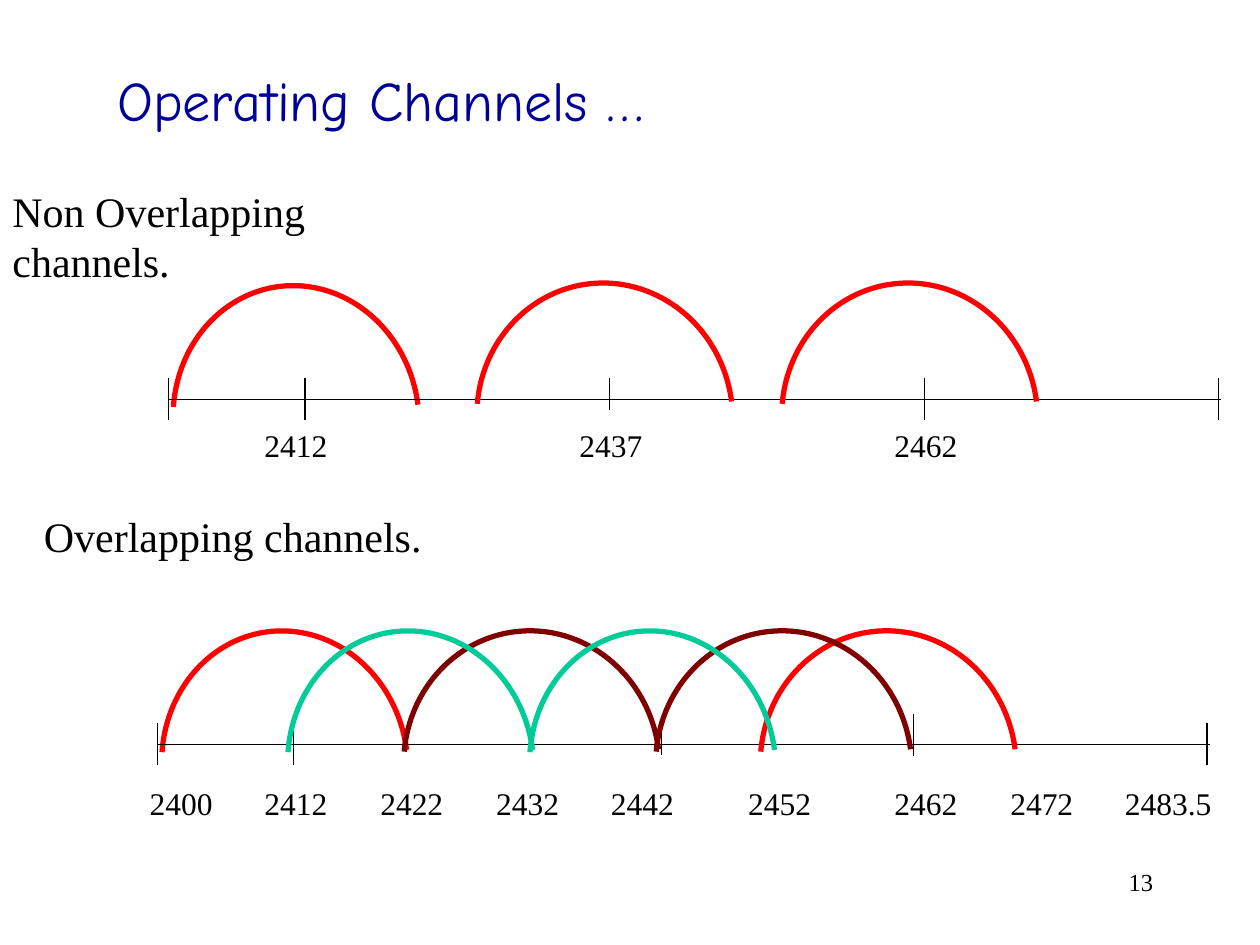
import pptx
import pptx.dml.color
import pptx.enum.shapes
import pptx.enum.text
import pptx.util
from lxml import etree
from pptx.oxml.ns import qn

Inches = pptx.util.Inches
Pt = pptx.util.Pt
RGBColor = pptx.dml.color.RGBColor
PP_ALIGN = pptx.enum.text.PP_ALIGN
ANCHOR = pptx.enum.text.MSO_ANCHOR
AUTO_SIZE = pptx.enum.text.MSO_AUTO_SIZE

BLACK = RGBColor(0x00, 0x00, 0x00)
NAVY = RGBColor(0x00, 0x00, 0x99)
RED = RGBColor(0xFF, 0x00, 0x00)
MAROON = RGBColor(0x80, 0x00, 0x00)
GREEN = RGBColor(0x00, 0xCC, 0x99)

ARC_TILT = 262.7
ARC_START, ARC_END = 283.5, 90
ADJUSTMENT_PER_DEGREE = 0.6  # 60000 units a degree, scaled by 100000
ARC_LENGTH = 2.14
NARROW, WIDE = 1.95, 2.03


class ChannelSlide:
    """Holds the style, the current page and the shapes being drawn on."""

    title_font = "Comic Neue"
    body_font = "Times New Roman"

    def __init__(self, deck):
        self.page = deck.slides.add_slide(deck.slide_layouts[5])
        self.shapes = self.page.shapes

    def start_group(self):
        self.shapes = self.page.shapes.add_group_shape().shapes

    def end_group(self):
        self.shapes = self.page.shapes

    def format_text(self, box, text, size, font, color, align):
        frame = box.text_frame
        frame.text = text
        paragraph = frame.paragraphs[0]
        paragraph.alignment = align
        for span in paragraph.runs:
            span.font.name = font
            span.font.size = Pt(size)
            span.font.color.rgb = color

    def title(self, text, left, top, width, height):
        box = self.page.shapes.title
        box.left, box.top = Inches(left), Inches(top)
        box.width, box.height = Inches(width), Inches(height)
        self.format_text(box, text, 32, self.title_font, NAVY, PP_ALIGN.LEFT)
        box.text_frame.vertical_anchor = ANCHOR.MIDDLE
        box.text_frame.auto_size = AUTO_SIZE.NONE

    def text(self, text, left, top, width, height, size=18, align=PP_ALIGN.LEFT):
        box = self.shapes.add_textbox(
            Inches(left), Inches(top), Inches(width), Inches(height))
        self.format_text(box, text, size, self.body_font, BLACK, align)
        if align == PP_ALIGN.LEFT:
            box.text_frame.word_wrap = False
            box.text_frame.auto_size = AUTO_SIZE.SHAPE_TO_FIT_TEXT
        else:
            box.text_frame.word_wrap = True

    def line(self, x1, y1, x2, y2):
        line = self.shapes.add_connector(
            pptx.enum.shapes.MSO_CONNECTOR.STRAIGHT,
            Inches(x1), Inches(y1), Inches(x2), Inches(y2))
        line.line.color.rgb = BLACK
        line.line.width = Pt(0.75)
        etree.SubElement(line._element.spPr, qn("a:effectLst"))

    def axis(self, left, y, ticks):
        self.line(left, y, left + 8.35, y)
        for x, top, bottom in ticks:
            self.line(x, top, x, bottom)

    def channel(self, left, top, height, color):
        arc = self.shapes.add_shape(
            pptx.enum.shapes.MSO_SHAPE.ARC,
            Inches(left), Inches(top), Inches(ARC_LENGTH), Inches(height))
        arc.adjustments[0] = ARC_START * ADJUSTMENT_PER_DEGREE
        arc.adjustments[1] = ARC_END * ADJUSTMENT_PER_DEGREE
        arc.rotation = ARC_TILT
        arc.shadow.inherit = False
        arc.fill.background()
        arc.line.color.rgb = color
        arc.line.width = Pt(3)


def main():
    deck = pptx.Presentation()
    deck.slide_width, deck.slide_height = Inches(10), Inches(7.5)
    slide = ChannelSlide(deck)
    slide.title("Operating Channels …", 0.83, 0.33, 8.5, 0.92)

    # Non-overlapping channels
    for index, frequency in enumerate(("2412", "2437", "2462")):
        slide.text(frequency, 2 + 2.5 * index, 3.33, 0.7, 0.4)
    slide.text("Non Overlapping channels.", 0, 1.42, 3.85, 0.9, size=24)
    slide.channel(1.28, 2.36, NARROW, RED)
    slide.axis(1.34, 3.17, [
        (1.34, 3, 3.33), (2.42, 3, 3.33), (4.84, 3, 3.25),
        (7.34, 3, 3.33), (9.67, 3, 3.33)])
    for left in (3.73, 6.15):
        slide.channel(left, 2.3, WIDE, RED)

    # Overlapping channels
    slide.start_group()
    for frequency, left in (
            ("2400", 1.09), ("2412", 2), ("2422", 2.92), ("2432", 3.84),
            ("2442", 4.75), ("2452", 5.84), ("2462", 7), ("2472", 7.92)):
        slide.text(frequency, left, 6.17, 0.7, 0.4)
    slide.text("2483.5", 8.83, 6.17, 1, 0.4)
    slide.channel(1.19, 5.1, NARROW, RED)
    slide.axis(1.25, 5.91, [
        (1.25, 5.74, 6.07), (2.33, 5.74, 6.07), (5.25, 5.74, 5.99),
        (7.25, 5.67, 6), (9.58, 5.74, 6.07)])
    for left, color in ((5.98, RED), (3.15, MAROON), (5.15, MAROON)):
        slide.channel(left, 5.06, WIDE, color)
    for left in (2.19, 4.11):
        slide.channel(left, 5.1, NARROW, GREEN)
    slide.end_group()
    slide.text("Overlapping channels.", 0.25, 4, 3.2, 0.5, size=24)

    # Page number
    slide.text("13", 7.17, 6.83, 2.08, 0.5, size=14, align=PP_ALIGN.RIGHT)

    deck.save("out.pptx")


if __name__ == "__main__":
    main()
